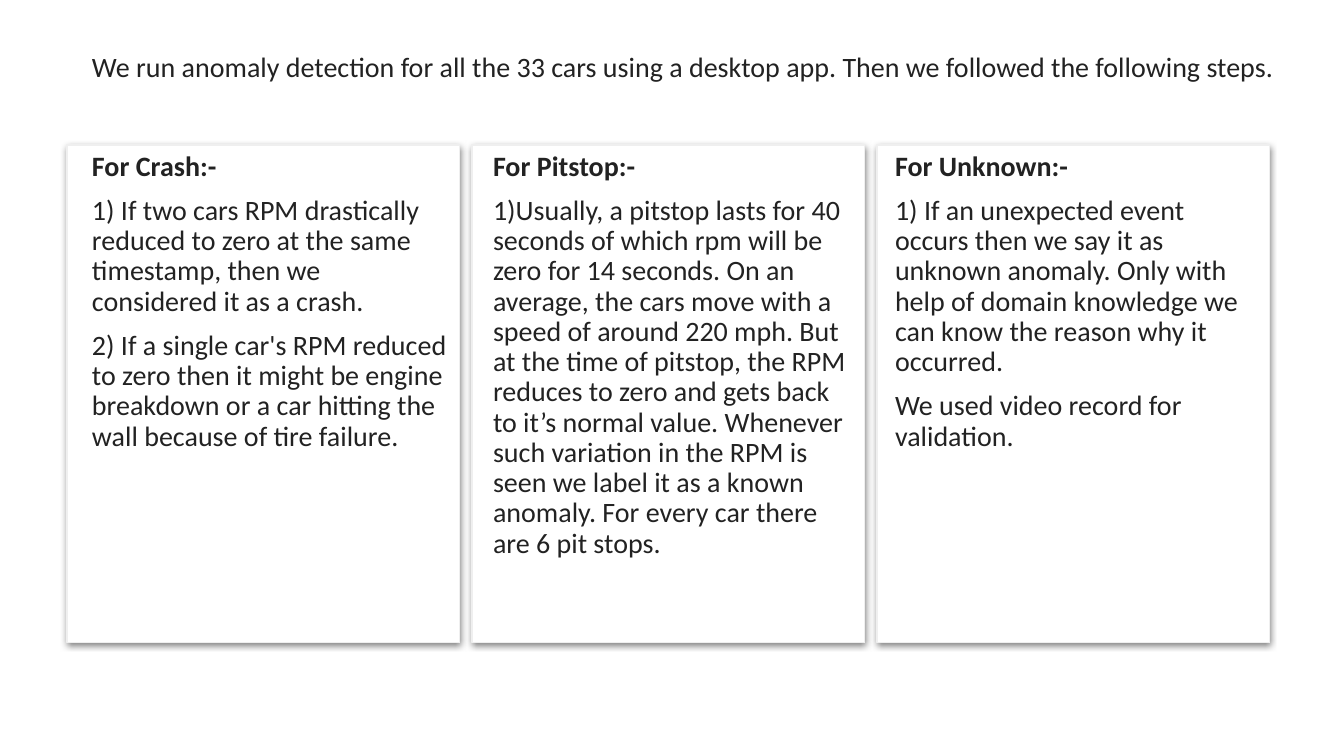
from dataclasses import dataclass

from lxml import etree
from pptx import Presentation
from pptx.dml.color import RGBColor
from pptx.enum.shapes import MSO_SHAPE
from pptx.oxml.ns import qn
from pptx.util import Emu, Pt

RECTANGLE = MSO_SHAPE.RECTANGLE
EMU_PER_PX = 914400 / 100.8


@dataclass(frozen=True)
class Theme:
    font: str = "Calibri"
    size: int = 20
    text: str = "222222"
    card: str = "FFFFFF"
    border: str = "EFEFEF"
    shadow: str = "000000"


THEME = Theme()

INTRO = ("We run anomaly detection for all the 33 cars using a desktop app. "
         "Then we followed the following steps.")

# Heading, text offset from the card's left edge, paragraphs
CARDS = [
    ("For Crash:-", 15, [
        "1) If two cars RPM drastically reduced to zero at the same timestamp, "
        "then we considered it as a crash.",
        "2) If a single car's RPM reduced to zero then it might be engine "
        "breakdown or a car hitting the wall because of tire failure.",
    ]),
    ("For Pitstop:-", 11, [
        "1)Usually, a pitstop lasts for 40 seconds of which rpm will be zero for "
        "14 seconds. On an average, the cars move with a speed of around 220 mph. "
        "But at the time of pitstop, the RPM reduces to zero and gets back to "
        "it’s normal value. Whenever such variation in the RPM is seen we label "
        "it as a known anomaly. For every car there are 6 pit stops.",
    ]),
    ("For Unknown:-", 8, [
        "1) If an unexpected event occurs then we say it as unknown anomaly. "
        "Only with help of domain knowledge we can know the reason why it occurred.",
        "We used video record for validation.",
    ]),
]


def px(n):
    return Emu(round(n * EMU_PER_PX))


def color(value):
    return RGBColor.from_string(value)


def add_shadow(shape):
    """Soft shadow straight below the shape."""
    shape.shadow.inherit = False
    effects = shape._element.spPr.find(qn("a:effectLst"))
    outer = etree.SubElement(effects, qn("a:outerShdw"), blurRad=str(Pt(4.5)),
                             dist=str(Pt(1.5)), dir="5400000",
                             algn="bl", rotWithShape="0")
    tint = etree.SubElement(outer, qn("a:srgbClr"), val=THEME.shadow)
    etree.SubElement(tint, qn("a:alpha"), val="50000")


def add_text(s, x, y, w, h, paragraphs, inset_y, heading=False):
    tf = s.shapes.add_textbox(px(x), px(y), px(w), px(h)).text_frame
    tf.word_wrap = True
    tf.margin_left = tf.margin_right = px(10)
    tf.margin_top = tf.margin_bottom = px(inset_y)
    for i, text in enumerate(paragraphs):
        p = tf.add_paragraph() if i else tf.paragraphs[0]
        p.text = text
        p.line_spacing = 0.9
        p.space_before = Pt(10 if i else 0)
        for r in p.runs:
            r.font.name = THEME.font
            r.font.size = Pt(THEME.size)
            r.font.bold = heading and i == 0
            r.font.color.rgb = color(THEME.text)


def add_card(s, x, y, w, h):
    sp = s.shapes.add_shape(RECTANGLE, px(x), px(y), px(w), px(h))
    sp.fill.solid()
    sp.fill.fore_color.rgb = color(THEME.card)
    sp.line.color.rgb = color(THEME.border)
    sp.line.width = Pt(0.75)
    add_shadow(sp)


def add_card_row(s, x, y, w, h, gap):
    """Equal cards across the box, with their texts in front."""
    card_w = (w - gap * (len(CARDS) - 1)) // len(CARDS)
    lefts = [x + i * (card_w + gap) for i in range(len(CARDS))]
    for left in lefts:
        add_card(s, left, y, card_w, h)
    for left, (heading, offset, body) in zip(lefts, CARDS):
        add_text(s, left + offset, y - 3, 378, 331, [heading, *body], 10, heading=True)


def main():
    prs = Presentation()
    prs.slide_width, prs.slide_height = px(1344), px(756)
    s = prs.slides.add_slide(prs.slide_layouts[6])

    # Cards
    add_card_row(s, 67, 145, 1203, 498, 12)
    # Introductory sentence
    add_text(s, 82, 48, 1220, 77, [INTRO], 5)

    prs.save("out.pptx")


if __name__ == "__main__":
    main()
